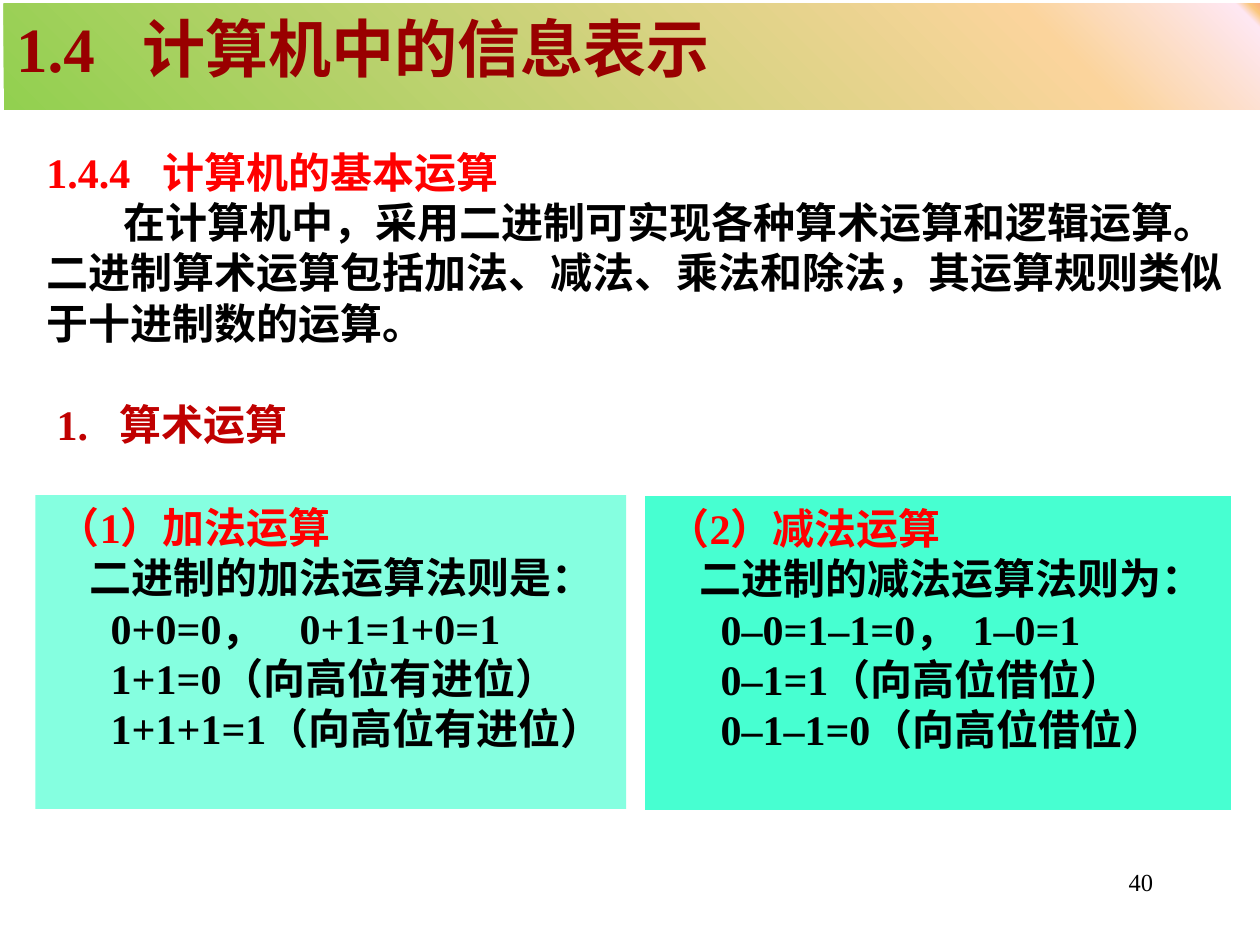
from pptx import Presentation, util as u
from pptx.dml.color import RGBColor
from pptx.enum import shapes, text
from pptx.oxml.ns import qn
from lxml import etree

C = {"red": "FF0000", "black": "000000", "crimson": "C00000", "title": "990000",
     "mint": "85FFE0", "aqua": "47FFD1"}
BANNER = [(0, "92D050"), (82, "FBD49C"), (98, "FEE7F2"),
          (99, "FAC77D"), (100, "FBA97D"), (100, "FEE7F2")]

prs = Presentation()
prs.slide_width, prs.slide_height = u.Inches(10), u.Inches(7.5)
W, H = prs.slide_width / 100, prs.slide_height / 100
s = prs.slides.add_slide(prs.slide_layouts[6])


def add_box(x, y, w, h, fill=None):
    at = int(x * W), int(y * H), int(w * W), int(h * H)
    if fill is None:
        sp = s.shapes.add_textbox(*at)
    else:
        sp = s.shapes.add_shape(shapes.MSO_SHAPE.RECTANGLE, *at)
        sp.shadow.inherit = False
        sp.line.fill.background()
        sp.fill.solid()
        sp.fill.fore_color.rgb = RGBColor.from_string(fill)
    sp.text_frame.word_wrap = True
    sp.text_frame.vertical_anchor = text.MSO_ANCHOR.TOP
    return sp


def write(sp, lines, size=24, bold=True, align=text.PP_ALIGN.LEFT):
    tf = sp.text_frame
    tf.text = "\n".join(line[0] for line in lines)
    for p, (_, color, margin, first) in zip(tf.paragraphs, lines):
        p.alignment = align
        pPr = p._p.get_or_add_pPr()
        pPr.set("marL", str(int(margin * W)))
        pPr.set("indent", str(int(first * W)))
        for r in p.runs:
            r.font.name, r.font.size, r.font.bold = "Times New Roman", u.Pt(size), bold
            r.font.color.rgb = RGBColor.from_string(C[color])


body = add_box(2.7, 14.8, 96.1, 33.6)
write(body, [
    ("1.4.4\t计算机的基本运算", "red", 9.2, -9.2),
    ("在计算机中，采用二进制可实现各种算术运算和逻辑运算。"
     "二进制算术运算包括加法、减法、乘法和除法，其运算规则类似于十进制数的运算。", "black", 0, 6.1),
    ("1.\t算术运算", "crimson", 5.8, -5),
])
body.text_frame.paragraphs[-1].space_before = u.Pt(29)

banner = add_box(0.3, 0.4, 100, 11.2, BANNER[0][1])
banner.fill.gradient()
banner.fill.gradient_angle = 45
stops = banner._element.spPr.find(".//" + qn("a:gsLst"))
for gs in list(stops):
    stops.remove(gs)
for pos, color in BANNER:
    gs = etree.SubElement(stops, qn("a:gs"), pos=str(pos * 1000))
    etree.SubElement(gs, qn("a:srgbClr"), val=color)
write(banner, [("1.4\t计算机中的信息表示", "title", 10, -10)], size=36)

cards = [
    (51.2, 52.5, 46.5, "aqua", "（2）减法运算", "二进制的减法运算法则为：",
     ["0–0=1–1=0，\t1–0=1", "0–1=1（向高位借位）", "0–1–1=0（向高位借位）"]),
    (2.8, 52.4, 46.9, "mint", "（1）加法运算", "二进制的加法运算法则是：",
     ["0+0=0，\t0+1=1+0=1", "1+1=0（向高位有进位）", "1+1+1=1（向高位有进位）"]),
]
for x, y, w, fill, heading, intro, rules in cards:
    write(add_box(x, y, w, 33.2, C[fill]),
          [(heading, "red", 0.8, 0), (intro, "black", 3.3, 0)]
          + [(rule, "black", 5, 0) for rule in rules])

write(add_box(71.7, 91.1, 20.8, 6.7), [("40", "black", 0, 0)],
      size=14, bold=False, align=text.PP_ALIGN.RIGHT)

prs.save("out.pptx")
